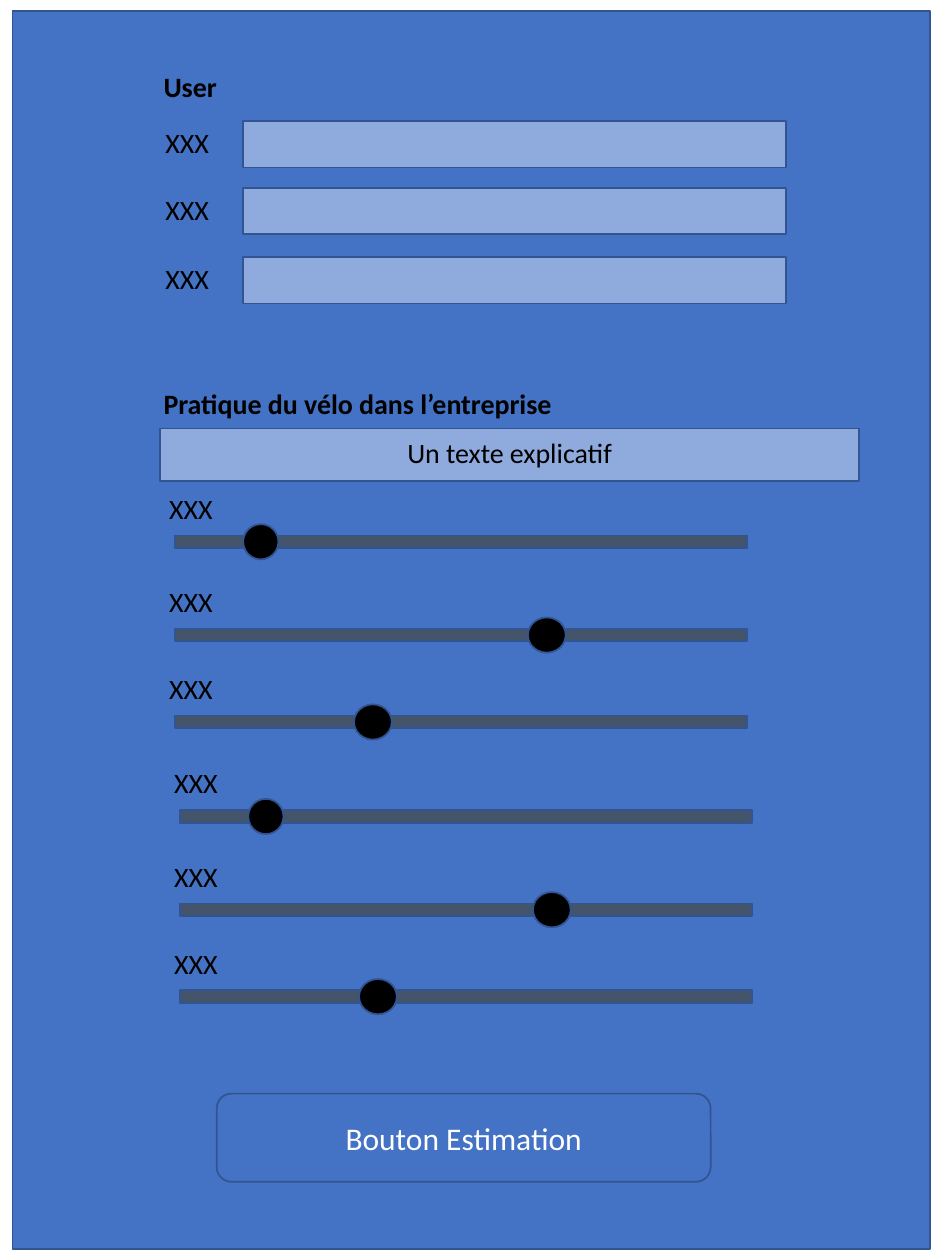
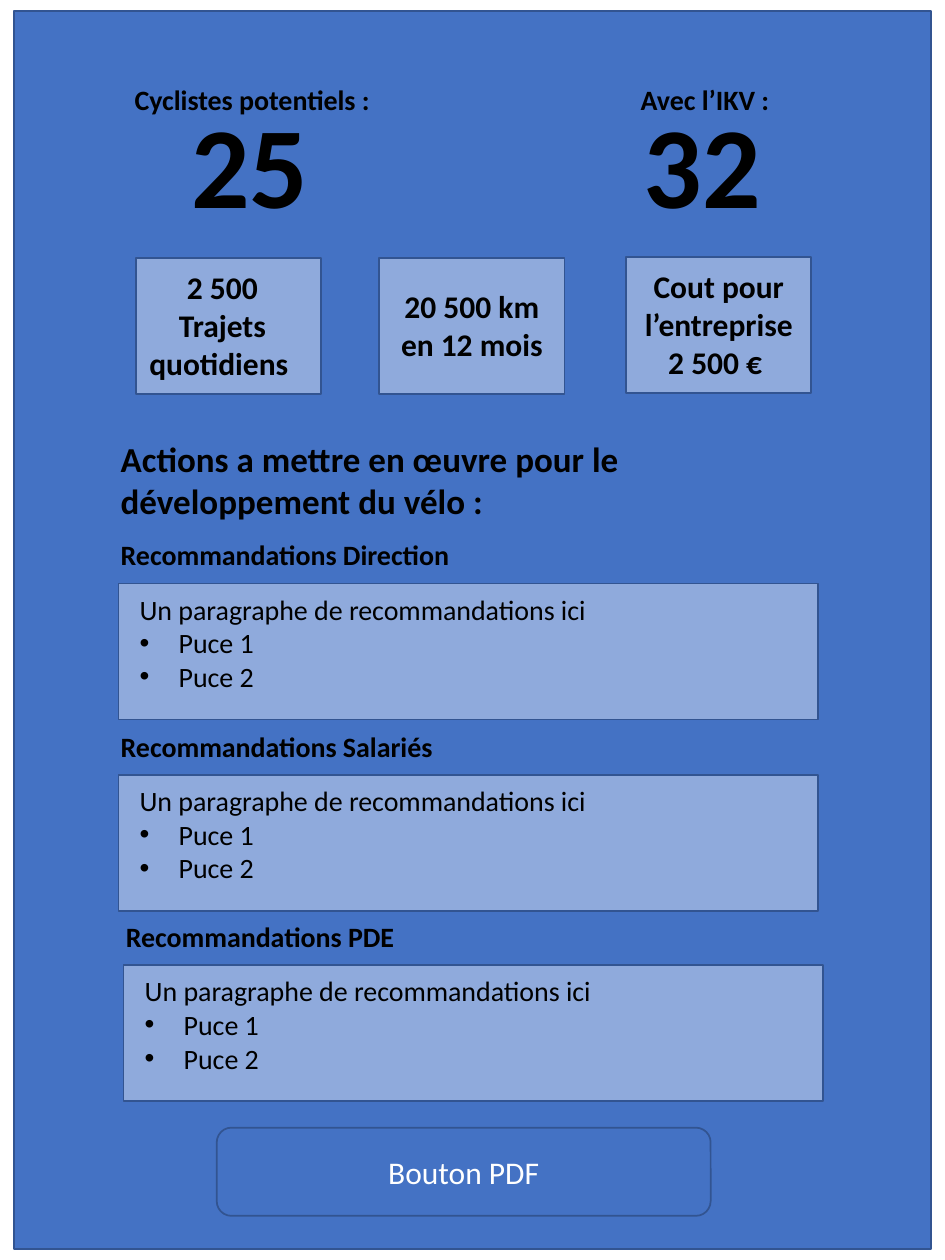
from lxml import etree
from pptx import Presentation
from pptx.dml.color import RGBColor
from pptx.enum.shapes import MSO_SHAPE as SHAPE
from pptx.enum.text import MSO_ANCHOR as ANCHOR, PP_ALIGN as ALIGN
from pptx.oxml.ns import qn
from pptx.util import Emu, Pt

SCALE = 9144
FONT = "Calibri"
BLUE = RGBColor(0x44, 0x72, 0xC4)
LIGHT = RGBColor(0x8F, 0xAA, 0xDC)
EDGE = RGBColor(0x32, 0x54, 0x91)
SLATE = RGBColor(0x44, 0x54, 0x6A)
BLACK = RGBColor(0, 0, 0)
WHITE = RGBColor(255, 255, 255)

LABEL = "XXX"
FIELDS = [(104, 95), (104, 148), (104, 203)]
SLIDERS = [(385, 54, 28), (459, 280, 30), (528, 142, 30)]
SLIDER_GROUPS = [(107, 0), (111, 218)]
TOTALS = [
    ((97, 61, 224, 121), "Cyclistes potentiels :", ALIGN.LEFT, 45, "25"),
    ((487, 61, 145, 121), "Avec l’IKV :", ALIGN.CENTER, 14, "32"),
]
CARDS = [
    ((108, 205, 147, 108), -5, ["2 500", "Trajets", "quotidiens "]),
    ((301, 205, 147, 108), 0, ["20 500 km", "en 12 mois"]),
    ((497, 204, 147, 108), 0, ["Cout pour", "l’entreprise", "2 500 € "]),
]
ADVICE = ["Un paragraphe de recommandations ici", "Puce 1", "Puce 2"]
SECTIONS = [
    ((86, 422, 555, 149), "Recommandations Direction"),
    ((86, 574, 555, 149), "Recommandations Salariés"),
    ((90, 725, 555, 149), "Recommandations PDE"),
]


def px(*lengths):
    """Turn px lengths into EMU."""
    return [Emu(n * SCALE) for n in lengths]


def add_bullet(p):
    """Give a paragraph a hanging round bullet."""
    pPr = p._p.get_or_add_pPr()
    indent = px(31)[0]
    pPr.set("marL", str(indent))
    pPr.set("indent", str(-indent))
    etree.SubElement(pPr, qn("a:buFont"), typeface="Arial")
    etree.SubElement(pPr, qn("a:buChar"), char="•")


def write(tf, lines, size=16, bold=False, color=BLACK, align=ALIGN.LEFT, bullets_from=None):
    """Write one paragraph per line into a text frame."""
    tf.word_wrap = True
    for i, line in enumerate(lines):
        p = tf.add_paragraph() if i else tf.paragraphs[0]
        p.alignment = align
        if bullets_from is not None and i >= bullets_from:
            add_bullet(p)
        r = p.add_run()
        r.text = line
        r.font.name = FONT
        r.font.size = Pt(size)
        r.font.bold = bold
        r.font.color.rgb = color


def add_text(s, box, lines, **style):
    """Add a text box."""
    write(s.shapes.add_textbox(*px(*box)).text_frame, lines, **style)


def add_box(s, box, fill, kind=SHAPE.RECTANGLE):
    """Add a filled shape with the shared outline."""
    sp = s.shapes.add_shape(kind, *px(*box))
    sp.shadow.inherit = False
    sp.fill.solid()
    sp.fill.fore_color.rgb = fill
    sp.line.color.rgb = EDGE
    sp.line.width = Pt(1)
    return sp


def add_page(prs, left):
    """Add a blank slide with its blue panel."""
    s = prs.slides.add_slide(prs.slide_layouts[6])
    add_box(s, (left, 9, 728, 982), BLUE)
    return s


def add_button(s, top, text):
    """Add a rounded button."""
    sp = add_box(s, (172, top, 392, 70), BLUE, SHAPE.ROUNDED_RECTANGLE)
    sp.text_frame.vertical_anchor = ANCHOR.MIDDLE
    write(sp.text_frame, [text], size=18, color=WHITE, align=ALIGN.CENTER)


def add_field(s, x, y):
    """Add a label and its input box."""
    add_text(s, (x, y, 89, 37), [LABEL], align=ALIGN.CENTER)
    add_box(s, (x + 89, y + 1, 431, 37), LIGHT)


def add_slider(s, x, y, knob_x, knob_w):
    """Add a label above a track with its knob."""
    add_text(s, (x, y, 89, 37), [LABEL], align=ALIGN.CENTER)
    add_box(s, (x + 32, y + 40, 454, 10), SLATE)
    add_box(s, (x + 32 + knob_x, y + 31, knob_w, 28), BLACK, SHAPE.OVAL)


def add_total(s, box, caption, align, number_x, number):
    """Add a caption over a large number."""
    x, y, w, h = box
    add_text(s, (x, y, w, 37), [caption], bold=True, align=align)
    add_text(s, (x + number_x, y + 8, 119, h), [number], size=66, bold=True)


def add_card(s, box, shift, lines):
    """Add a figure card with text centred in height."""
    x, y, w, h = box
    text_h = 30 * len(lines) + 11
    add_box(s, box, LIGHT)
    add_text(s, (x - 4 + shift, y + (h - text_h) // 2, w + 8, text_h), lines,
             size=18, bold=True, align=ALIGN.CENTER)


def add_section(s, box, heading):
    """Add a heading over a panel of advice."""
    x, y, w, h = box
    add_text(s, (x, y, 346, 37), [heading], bold=True)
    add_box(s, (x + 8, y + 41, w, h - 41), LIGHT)
    add_text(s, (x + 15, y + 43, w - 8, 91), ADVICE, bullets_from=1)


def build_form(prs):
    """Build the input form slide."""
    s = add_page(prs, 10)
    add_text(s, (120, 50, 504, 37), ["User"], bold=True)
    for x, y in FIELDS:
        add_field(s, x, y)
    add_text(s, (120, 302, 497, 37), ["Pratique du vélo dans l’entreprise"], bold=True)
    add_box(s, (127, 340, 555, 42), LIGHT)
    add_text(s, (131, 341, 547, 37), ["Un texte explicatif"], align=ALIGN.CENTER)
    for x, drop in SLIDER_GROUPS:
        for y, knob_x, knob_w in SLIDERS:
            add_slider(s, x, y + drop, knob_x, knob_w)
    add_button(s, 868, "Bouton Estimation")


def build_results(prs):
    """Build the results slide."""
    s = add_page(prs, 11)
    for total in TOTALS:
        add_total(s, *total)
    for card in CARDS:
        add_card(s, *card)
    add_text(s, (86, 342, 593, 77),
             ["Actions a mettre en œuvre pour le développement du vélo :"], size=20, bold=True)
    for section in SECTIONS:
        add_section(s, *section)
    add_button(s, 895, "Bouton PDF")


def main():
    """Build and save the presentation."""
    prs = Presentation()
    prs.slide_width, prs.slide_height = px(750, 1000)
    build_form(prs)
    build_results(prs)
    prs.save("out.pptx")


if __name__ == "__main__":
    main()
